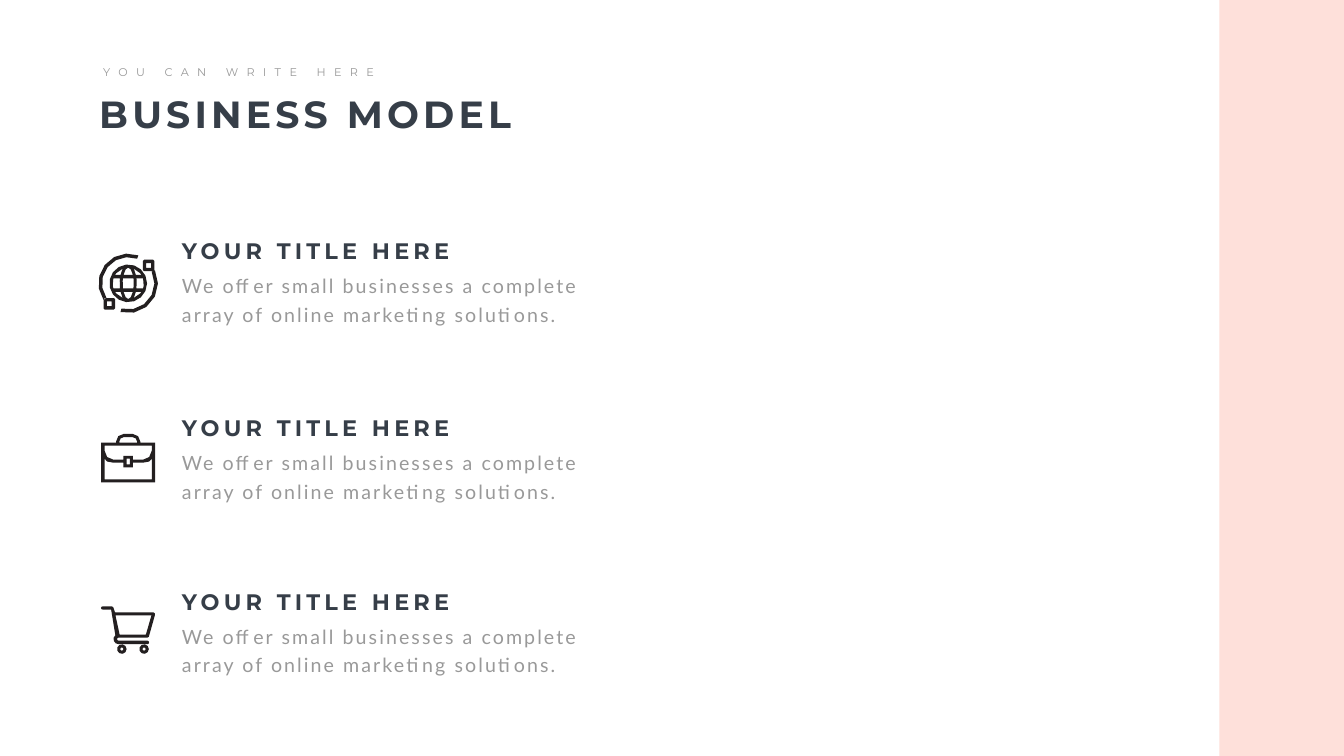
"""Build the business model slide with three icon-led offers."""
from dataclasses import dataclass
from math import cos, radians, sin, sqrt
from typing import Optional

from pptx import Presentation
from pptx.dml.color import RGBColor
from pptx.enum.shapes import MSO_SHAPE
from pptx.enum.text import MSO_AUTO_SIZE
from pptx.util import Cm, Pt

RECTANGLE = MSO_SHAPE.RECTANGLE
GROW = MSO_AUTO_SIZE.SHAPE_TO_FIT_TEXT

Point = tuple[float, float]
Contour = list[Point]
Part = list[Contour]


@dataclass(frozen=True)
class TextStyle:
    font: str
    size: float
    color: str
    spacing: float
    bold: bool = False
    line_height: Optional[float] = None


@dataclass(frozen=True)
class Theme:
    band: str = "FEE0DA"
    icon: str = "231F20"
    heading: TextStyle = TextStyle("Montserrat", 54, "363E48", 6, bold=True)
    kicker: TextStyle = TextStyle("Montserrat", 16, "999999", 12)
    title: TextStyle = TextStyle("Montserrat", 32, "363E48", 6, bold=True)
    body: TextStyle = TextStyle("Lato", 28, "999999", 3, line_height=40.8)


@dataclass(frozen=True)
class Frame:
    left: float
    top: float
    width: float
    height: float
    wrap: bool = True


@dataclass(frozen=True)
class Offer:
    top: float
    title: str
    body: str
    icon: list[Part]


THEME = Theme()
ICON_X = 6.46
ICON_DROP = 2.47
TEXT_X = 8.92
TITLE_HEIGHT = 1.62


def arc(x: float, y: float, rx: float, ry: float, start: float, end: float) -> Contour:
    """Return points along an elliptical arc, with angles in degrees."""
    steps = max(2, round(abs(end - start) / (24 if rx > 0.5 else 40)))
    angles = [radians(start + (end - start) * i / steps) for i in range(steps + 1)]
    return [(x + rx * cos(a), y + ry * sin(a)) for a in angles]


def circle(x: float, y: float, radius: float) -> Contour:
    """Return a full circle."""
    return arc(x, y, radius, radius, 0, 360)[:-1]


def square(x: float, y: float, half: float, cut: float = 0) -> Contour:
    """Return a square around a centre, with its corners optionally cut."""
    inner = half - cut
    if not cut:
        return [(x - half, y - half), (x + half, y - half), (x + half, y + half), (x - half, y + half)]
    return [(x - inner, y - half), (x + inner, y - half), (x + half, y - inner), (x + half, y + inner),
            (x + inner, y + half), (x - inner, y + half), (x - half, y + inner), (x - half, y - inner)]


def mirrored(right: Contour) -> Contour:
    """Complete a right half with its reflection."""
    return right + [(-x, y) for x, y in reversed(right)]


def meridian(reach: float, height: float, top: float, bottom: float) -> Contour:
    """Return points down one side of an ellipse centred on the globe."""
    levels = [top + (bottom - top) * share for share in (0, 0.25, 1)]
    return [(reach * sqrt(max(0, 1 - (y / height) ** 2)), y) for y in levels]


def globe() -> Part:
    """Return a disc with a grid of windows."""
    windows = []
    for pole, crossing, base in ((-0.79, -0.74, -0.43), (-0.25, -0.25, 0.25), (0.79, 0.74, 0.43)):
        windows.append(mirrored(meridian(0.28, 0.79, pole, base)))
        side = meridian(0.43, 0.95, crossing, base) + meridian(0.79, 0.79, base, crossing)
        windows += [side, [(-x, y) for x, y in side]]
    return [circle(0, 0, 0.95)] + windows


def orbit(start: float, end: float, node: Point) -> Part:
    """Return half an orbit with its square node."""
    track = arc(0, 0, 1.5, 1.5, start, end) + arc(0, 0, 1.32, 1.32, end, start)
    return [track, square(*node, 0.29, cut=0.06), square(*node, 0.12)]


def briefcase() -> Part:
    """Return a case with handle, flap, clasp and lower panel."""
    case = arc(0.23, -0.97, 0.38, 0.38, -90, 0) + [(0.61, -0.91), (1.36, -0.91), (1.36, 1.09)]
    handle = arc(0.22, -0.96, 0.23, 0.23, -90, 0) + [(0.45, -0.91)]
    flap = [(1.19, -0.76)] + arc(0.74, -0.51, 0.45, 0.46, 0, 90) + [(0.24, -0.05), (0.24, -0.25)]
    clasp = [(0.08, -0.1), (0.08, 0.18)]
    panel = [(0.24, 0.33), (0.24, 0.1)] + arc(0.74, -0.1, 0.45, 0.2, 90, 0) + [(1.19, 0.94)]
    return [mirrored(half) for half in (case, handle, flap, clasp, panel)]


def cart() -> Part:
    """Return the cart frame with its open basket."""
    frame = [(-1.29, -1.4), (-0.82, -1.4), (-0.75, -1.35), (-0.66, -1.09), (1.28, -1.09),
             (1.35, -1.04), (1.35, -0.97), (1.04, 0.13), (0.97, 0.18)]
    frame += arc(-0.48, 0.25, 0.08, 0.08, 270, 90)
    frame += arc(0.97, 0.42, 0.08, 0.09, -90, 90)
    frame += arc(-0.48, 0.25, 0.26, 0.26, 90, 230)
    frame += [(-0.86, -1.24)] + arc(-1.29, -1.32, 0.08, 0.08, 90, 270)[:-1]
    basket = [(1.17, -0.94), (0.89, 0.03), (-0.43, 0.03), (-0.64, -0.94)]
    return [frame, basket]


def wheel(x: float) -> Part:
    """Return a cart wheel."""
    return [circle(x, 0.75, 0.24), circle(x, 0.75, 0.08)]


def paint(shape, color: str) -> None:
    """Give a shape a plain fill without line or shadow."""
    shape.shadow.inherit = False
    shape.fill.solid()
    shape.fill.fore_color.rgb = RGBColor.from_string(color)
    shape.line.fill.background()


def draw_part(page, part: Part, y: float) -> None:
    """Draw one icon part around the icon column's centre."""
    first, *rest = [[(Cm(px), Cm(py)) for px, py in contour] for contour in part]
    builder = page.shapes.build_freeform(*first[0])
    builder.add_line_segments(first[1:])
    for contour in rest:
        builder.move_to(*contour[0])
        builder.add_line_segments(contour[1:])
    paint(builder.convert_to_shape(Cm(ICON_X), Cm(y)), THEME.icon)


def draw_text(page, frame: Frame, text: str, style: TextStyle) -> None:
    """Draw a single-run text box."""
    box = page.shapes.add_textbox(Cm(frame.left), Cm(frame.top), Cm(frame.width), Cm(frame.height))
    box.text_frame.word_wrap = frame.wrap
    box.text_frame.auto_size = GROW
    para = box.text_frame.paragraphs[0]
    if style.line_height:
        para.line_spacing = Pt(style.line_height)
    span = para.add_run()
    span.text = text
    span.font.name = style.font
    span.font.size = Pt(style.size)
    span.font.bold = style.bold
    span.font.color.rgb = RGBColor.from_string(style.color)
    span.font._element.set("spc", str(round(style.spacing * 100)))


def draw_offer(page, offer: Offer) -> None:
    """Draw an offer's text and icon."""
    draw_text(page, Frame(TEXT_X, offer.top + TITLE_HEIGHT, 21.44, 3.02), offer.body, THEME.body)
    draw_text(page, Frame(TEXT_X, offer.top, 14.35, TITLE_HEIGHT, wrap=False), offer.title, THEME.title)
    for part in offer.icon:
        draw_part(page, part, offer.top + ICON_DROP)


def main() -> None:
    """Build and save the deck."""
    deck = Presentation()
    deck.slide_width, deck.slide_height = Cm(67.72), Cm(38.1)
    page = deck.slides.add_slide(deck.slide_layouts[6])
    paint(page.shapes.add_shape(RECTANGLE, Cm(61.44), Cm(0), Cm(6.28), Cm(38.1)), THEME.band)
    draw_text(page, Frame(4.75, 4.44, 22.63, 2.57), "BUSINESS MODEL", THEME.heading)
    draw_text(page, Frame(4.95, 3.15, 14.68, 0.94, wrap=False), "YOU CAN WRITE HERE", THEME.kicker)
    title = "YOUR TITLE HERE"
    body = "We offer small businesses a complete array of online marketing solutions."
    network = [globe(), orbit(-26, 105, (1.03, -0.9)), orbit(146, 290, (-0.95, 1.03))]
    icons = (network, [briefcase()], [cart(), wheel(-0.32), wheel(0.8)])
    for top, icon in zip((11.81, 20.75, 29.49), icons):
        draw_offer(page, Offer(top, title, body, icon))
    deck.save("out.pptx")


if __name__ == "__main__":
    main()
